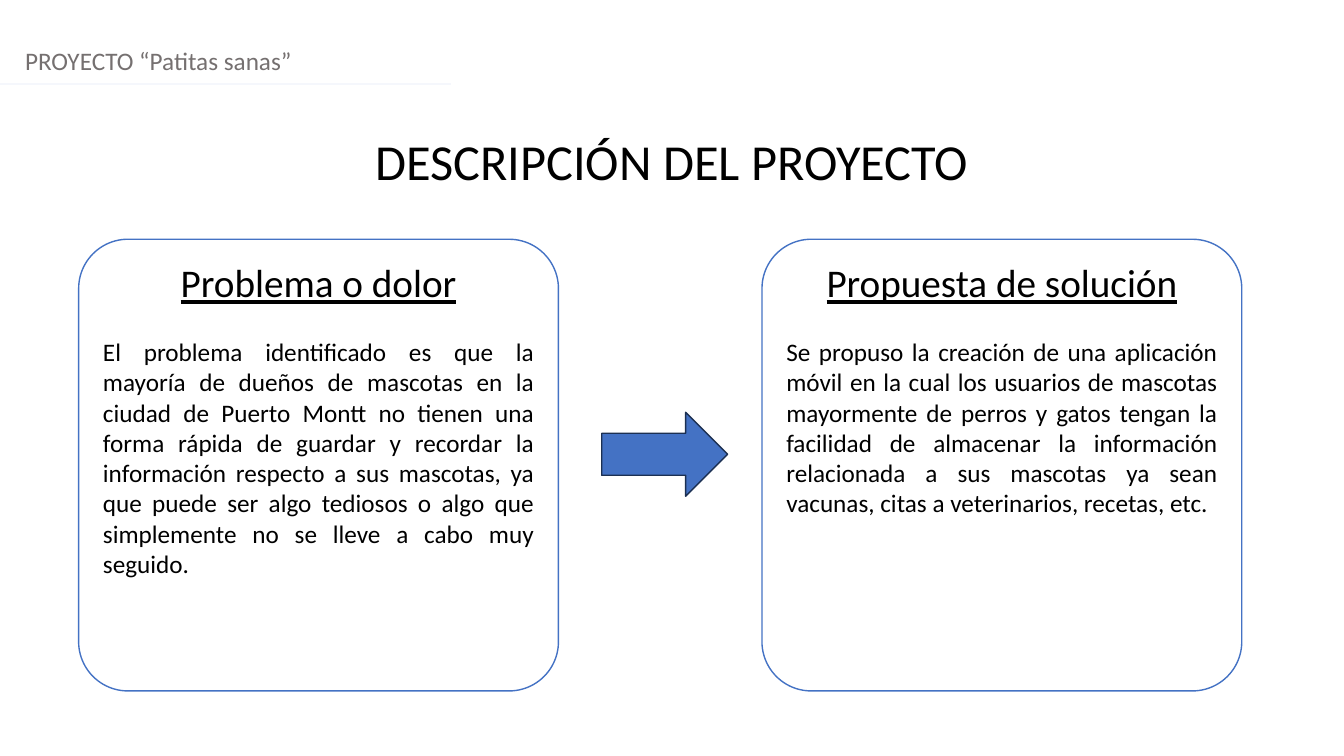
"""Build the project description slide: a problem, an arrow and the proposed solution."""
from lxml import etree
from pptx import Presentation
from pptx.dml.color import RGBColor
from pptx.enum.shapes import MSO_CONNECTOR, MSO_SHAPE
from pptx.enum.text import MSO_ANCHOR, PP_ALIGN
from pptx.oxml.ns import qn
from pptx.util import Pt

CENTER, JUSTIFY, LEFT = PP_ALIGN.CENTER, PP_ALIGN.JUSTIFY, PP_ALIGN.LEFT
TOP = MSO_ANCHOR.TOP
ROUNDED, ARROW = MSO_SHAPE.ROUNDED_RECTANGLE, MSO_SHAPE.RIGHT_ARROW
STRAIGHT = MSO_CONNECTOR.STRAIGHT

FONT = "Calibri"
COLORS = {
    "text": "000000",
    "header": "757070",
    "rule": "F5F7FC",
    "card": "FFFFFF",
    "accent": "4472C4",
    "arrow_line": "1C3052",
}
HEADER = "PROYECTO “Patitas sanas”"
TITLE = "DESCRIPCIÓN DEL PROYECTO"
CARDS = [
    (
        "Problema o dolor",
        "El problema identificado es que la mayoría de dueños de mascotas en la ciudad "
        "de Puerto Montt no tienen una forma rápida de guardar y recordar la información "
        "respecto a sus mascotas, ya que puede ser algo tediosos o algo que simplemente "
        "no se lleve a cabo muy seguido.",
    ),
    (
        "Propuesta de solución",
        "Se propuso la creación de una aplicación móvil en la cual los usuarios de "
        "mascotas mayormente de perros y gatos tengan la facilidad de almacenar la "
        "información relacionada a sus mascotas ya sean vacunas, citas a veterinarios, "
        "recetas, etc.",
    ),
]

SLIDE_WIDTH, SLIDE_HEIGHT = 960, 540
CARD_LEFT, CARD_TOP, CARD_WIDTH, CARD_HEIGHT = 56.2, 170.9, 342.7, 322.6
CARD_STEP = 488.1
HEADING_GAP = 22


def color(name):
    return RGBColor.from_string(COLORS[name])


def place(shape, left, top, width, height):
    shape.left, shape.top = Pt(left), Pt(top)
    shape.width, shape.height = Pt(width), Pt(height)


def set_frame(text_frame):
    text_frame.word_wrap = True
    text_frame.vertical_anchor = TOP
    text_frame.margin_left = text_frame.margin_right = Pt(7.2)
    text_frame.margin_top = text_frame.margin_bottom = Pt(3.6)


def write(paragraph, text, size, color_name="text", align=LEFT, underline=False):
    paragraph.text = text
    paragraph.alignment = align
    for run in paragraph.runs:
        run.font.name = FONT
        run.font.size = Pt(size)
        run.font.underline = underline
        run.font.color.rgb = color(color_name)


def add_filled(slide, preset, bounds, fill, line):
    shape = slide.shapes.add_shape(preset, *map(Pt, bounds))
    shape.shadow.inherit = False
    shape.fill.solid()
    shape.fill.fore_color.rgb = color(fill)
    shape.line.color.rgb = color(line)
    shape.line.width = Pt(1)
    return shape


def add_card(slide, left, heading, body):
    bounds = (left, CARD_TOP, CARD_WIDTH, CARD_HEIGHT)
    card = add_filled(slide, ROUNDED, bounds, "card", "accent")
    card.adjustments[0] = 0.109
    text_frame = card.text_frame
    set_frame(text_frame)
    write(text_frame.paragraphs[0], heading, 28, align=CENTER, underline=True)
    paragraph = text_frame.add_paragraph()
    write(paragraph, body, 18, align=JUSTIFY)
    paragraph.space_before = Pt(HEADING_GAP)


def add_rule(slide, left, right, top):
    rule = slide.shapes.add_connector(STRAIGHT, Pt(left), Pt(top), Pt(right), Pt(top))
    rule.line.color.rgb = color("rule")
    rule.line.width = Pt(1.25)
    etree.SubElement(rule.element.spPr, qn("a:effectLst"))


def main():
    presentation = Presentation()
    presentation.slide_width, presentation.slide_height = Pt(SLIDE_WIDTH), Pt(SLIDE_HEIGHT)
    slide = presentation.slides.add_slide(presentation.slide_layouts[5])

    title = slide.shapes.title
    place(title, 0, 89.3, SLIDE_WIDTH, 51)
    set_frame(title.text_frame)
    write(title.text_frame.paragraphs[0], TITLE, 36, align=CENTER)

    header = slide.shapes.add_textbox(Pt(10.8), Pt(28.8), Pt(SLIDE_WIDTH), Pt(29))
    set_frame(header.text_frame)
    write(header.text_frame.paragraphs[0], HEADER, 18, "header")
    add_rule(slide, 0, 322, 59.8)

    for index, (heading, body) in enumerate(CARDS):
        add_card(slide, CARD_LEFT + index * CARD_STEP, heading, body)
    add_filled(slide, ARROW, (429.8, 294.5, 90, 60), "accent", "arrow_line")

    presentation.save("out.pptx")


if __name__ == "__main__":
    main()
